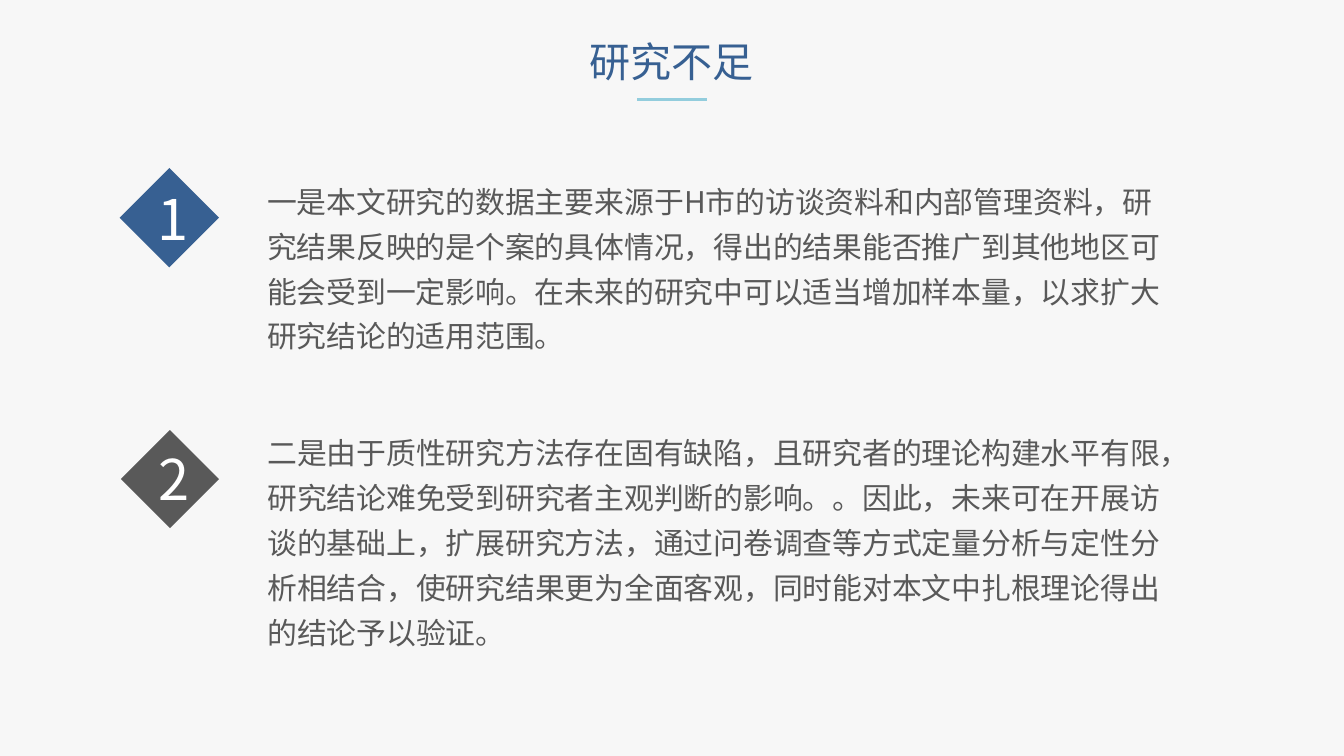
import pptx
import pptx.util
import pptx.dml.color
import pptx.enum.shapes
import pptx.enum.text
import pptx.oxml
import pptx.oxml.ns

Inches = pptx.util.Inches
Pt = pptx.util.Pt
ALIGN = pptx.enum.text.PP_ALIGN
ANCHOR = pptx.enum.text.MSO_ANCHOR

# Content
FONT = "Noto Sans CJK SC"
COLORS = {
    "background": "F7F7F7",
    "blue": "376092",
    "gray": "595959",
    "white": "FFFFFF",
    "accent": "93CDDD",
}
TITLE = "研究不足"
# Diamonds are (left, top, size); the last one carries the number
LIMITATIONS = [
    {
        "number": "1",
        "color": "blue",
        "diamonds": [(0.89, 1.25, 0.74)],
        "box": (1.89, 1.25, 7, 1.42),
        "text": "一是本文研究的数据主要来源于H市的访谈资料和内部管理资料，研究结果反映的是个案的具体情况，"
                "得出的结果能否推广到其他地区可能会受到一定影响。在未来的研究中可以适当增加样本量，"
                "以求扩大研究结论的适用范围。",
    },
    {
        "number": "2",
        "color": "gray",
        "diamonds": [(0.9, 3.2, 0.73), (0.91, 3.21, 0.7)],
        "box": (1.89, 3.12, 6.91, 1.78),
        "text": "二是由于质性研究方法存在固有缺陷，且研究者的理论构建水平有限，研究结论难免受到研究者主观判断的影响。。"
                "因此，未来可在开展访谈的基础上，扩展研究方法，通过问卷调查等方式定量分析与定性分析相结合，"
                "使研究结果更为全面客观，同时能对本文中扎根理论得出的结论予以验证。",
    },
]


def rgb(name):
    return pptx.dml.color.RGBColor.from_string(COLORS[name])


def write(shape, text, size, color, align=ALIGN.LEFT, anchor=ANCHOR.TOP, wrap=True, spacing=None):
    frame = shape.text_frame
    frame.word_wrap = wrap
    frame.auto_size = pptx.enum.text.MSO_AUTO_SIZE.NONE
    frame.vertical_anchor = anchor
    paragraph = frame.paragraphs[0]
    paragraph.alignment = align
    if spacing:
        paragraph.line_spacing = Pt(spacing)
    run = paragraph.add_run()
    run.text = text
    run.font.size = Pt(size)
    run.font.name = FONT
    run.font.color.rgb = rgb(color)
    # Chinese glyphs take the East Asian typeface
    east_asian = pptx.oxml.parse_xml(f'<a:ea {pptx.oxml.ns.nsdecls("a")} typeface="{FONT}"/>')
    run.font._element.find(pptx.oxml.ns.qn("a:latin")).addnext(east_asian)


def add_diamond(slide, left, top, size, color):
    shape = slide.shapes.add_shape(
        pptx.enum.shapes.MSO_SHAPE.DIAMOND, Inches(left), Inches(top), Inches(size), Inches(size))
    shape.shadow.inherit = False
    shape.fill.solid()
    shape.fill.fore_color.rgb = rgb(color)
    shape.line.fill.background()
    return shape


def main():
    # Widescreen page, 16 to 9
    presentation = pptx.Presentation()
    presentation.slide_width = Inches(10)
    presentation.slide_height = Inches(10) * 9 // 16
    slide = presentation.slides.add_slide(presentation.slide_layouts[5])
    slide.background.fill.solid()
    slide.background.fill.fore_color.rgb = rgb("background")

    # Numbered limitations
    for item in LIMITATIONS:
        for left, top, size in item["diamonds"]:
            diamond = add_diamond(slide, left, top, size, item["color"])
        write(diamond, item["number"], 30, "white", align=ALIGN.CENTER, anchor=ANCHOR.MIDDLE)
        box = slide.shapes.add_textbox(*map(Inches, item["box"]))
        write(box, item["text"], 16, "gray", spacing=24)

    # Title with its underline
    title = slide.shapes.title
    title.left, title.top, title.width, title.height = map(Inches, (4.28, 0.22, 1.44, 0.47))
    write(title, TITLE, 22, "blue", align=ALIGN.CENTER, wrap=False)
    underline = slide.shapes.add_connector(
        pptx.enum.shapes.MSO_CONNECTOR.STRAIGHT,
        Inches(5.26), Inches(0.74), Inches(4.74), Inches(0.74))
    underline.line.color.rgb = rgb("accent")
    underline.line.width = Pt(1.5)
    underline._element.spPr.append(
        pptx.oxml.parse_xml(f'<a:effectLst {pptx.oxml.ns.nsdecls("a")}/>'))

    presentation.save("out.pptx")


if __name__ == "__main__":
    main()
